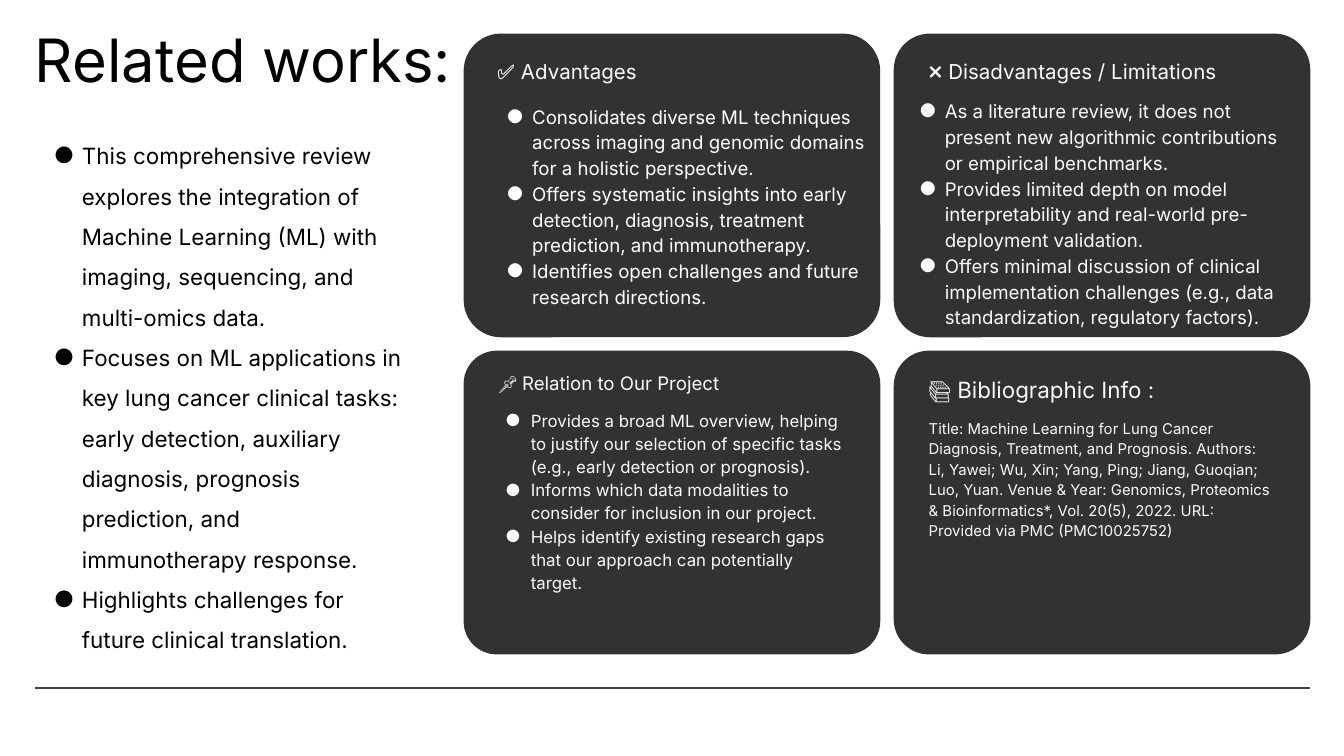
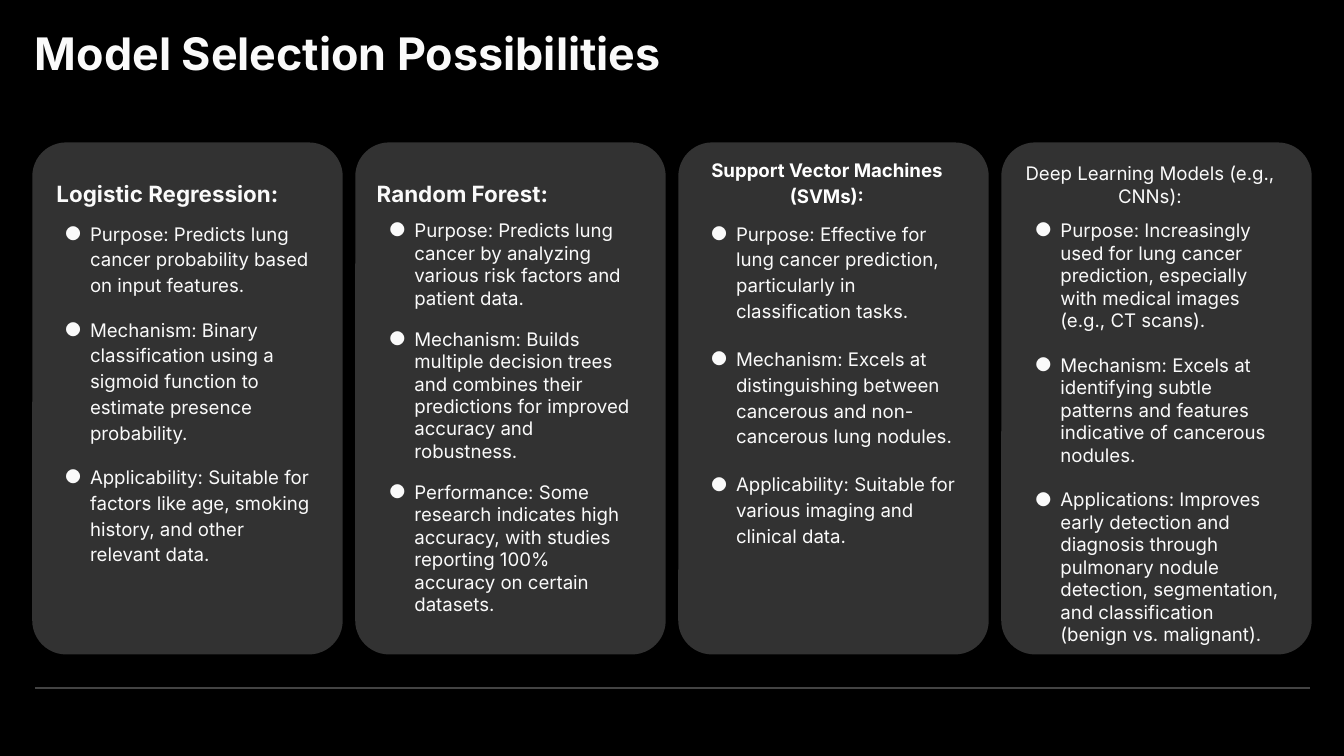
from lxml import etree
from pptx import Presentation
from pptx.dml.color import RGBColor
from pptx.enum.shapes import MSO_CONNECTOR, MSO_SHAPE
from pptx.enum.text import MSO_ANCHOR as ANCHOR, MSO_AUTO_SIZE, PP_ALIGN as ALIGN
from pptx.oxml.ns import qn
from pptx.util import Inches, Pt

# Shared style
FONT = "Inter"
BLACK, WHITE, PALE = "000000", "FFFFFF", "FAFAFA"
CARD, RULE = "323232", "434343"
MARGIN, RIGHT, TOP = 0.26, 9.75, 0.25
CARD_INSETS = (0, 0, 0.1, 0.1)


def rgb(value):
    return RGBColor.from_string(value)


def apply(obj, values):
    for name, value in values.items():
        setattr(obj, name, value)


def place(shape, box):
    apply(shape, dict(zip(("left", "top", "width", "height"), map(Inches, box))))


def add_bullet(p, color, left, hanging):
    pPr = p._p.get_or_add_pPr()
    pPr.set("marL", str(Inches(left)))
    pPr.set("indent", str(-Inches(hanging)))
    clr = etree.SubElement(pPr, qn("a:buClr"))
    etree.SubElement(clr, qn("a:srgbClr")).set("val", color)
    etree.SubElement(pPr, qn("a:buFont")).set("typeface", FONT)
    etree.SubElement(pPr, qn("a:buChar")).set("char", "●")


def write(shape, lines, size, color=PALE, bold=False, align=ALIGN.LEFT,
          anchor=ANCHOR.TOP, insets=CARD_INSETS, spacing=1.0, gap=0,
          indent=None, hanging=0.19):
    """Fill a shape with paragraphs; an indent turns them into a list."""
    tf = shape.text_frame
    sides = ("margin_left", "margin_top", "margin_right", "margin_bottom")
    apply(tf, dict(zip(sides, map(Inches, insets))))
    apply(tf, {"word_wrap": True, "auto_size": MSO_AUTO_SIZE.NONE,
               "vertical_anchor": anchor})
    for i, line in enumerate(lines):
        p = tf.paragraphs[0] if i == 0 else tf.add_paragraph()
        apply(p, {"alignment": align, "line_spacing": spacing,
                  "space_before": Pt(gap if i else 0), "space_after": Pt(0)})
        if indent is not None:
            add_bullet(p, color, indent, hanging)
        r = p.add_run()
        r.text = line
        apply(r.font, {"name": FONT, "size": Pt(size), "bold": bold})
        r.font.color.rgb = rgb(color)


def add_text(s, box, lines, **style):
    tb = s.shapes.add_textbox(*map(Inches, box))
    write(tb, lines, **style)


def add_base(prs, layout, background, title, box, **style):
    """Slide with background, title and footer rule."""
    s = prs.slides.add_slide(prs.slide_layouts[layout])
    s.background.fill.solid()
    s.background.fill.fore_color.rgb = rgb(background)
    place(s.shapes.title, box)
    write(s.shapes.title, [title], insets=(0, 0, 0, 0), spacing=0.85, **style)
    rule = s.shapes.add_connector(
        MSO_CONNECTOR.STRAIGHT, *map(Inches, (MARGIN, 5.12, RIGHT, 5.12)))
    rule.line.color.rgb = rgb(RULE)
    rule.line.width = Pt(0.75)
    etree.SubElement(rule._element.spPr, qn("a:effectLst"))
    return s


def add_card(s, box, radius, heading, heading_box, heading_style,
             lines, body_box, body_style):
    """Rounded card; heading and body boxes are relative to its corner."""
    card = s.shapes.add_shape(MSO_SHAPE.ROUNDED_RECTANGLE, *map(Inches, box))
    card.adjustments[0] = radius
    card.shadow.inherit = False
    card.fill.solid()
    card.fill.fore_color.rgb = rgb(CARD)
    card.line.fill.background()
    x, y = box[:2]
    for (dx, dy, w, h), text, style in (
            (heading_box, [heading], {"anchor": ANCHOR.BOTTOM, **heading_style}),
            (body_box, lines, body_style)):
        add_text(s, (x + dx, y + dy, w, h), text, **style)


# Slide 1: review summary and a 2 x 2 grid of cards
SUMMARY = [
    "This comprehensive review explores the integration of Machine Learning (ML) "
    "with imaging, sequencing, and multi-omics data.",
    "Focuses on ML applications in key lung cancer clinical tasks: early detection, "
    "auxiliary diagnosis, prognosis prediction, and immunotherapy response.",
    "Highlights challenges for future clinical translation.",
]
REVIEW_CARDS = [
    dict(radius=0.123, heading="✅ Advantages",
         heading_box=(0.25, 0.15, 1.6, 0.32), heading_style={"size": 11},
         body_box=(0.01, 0.51, 3.09, 1.66),
         body_style={"size": 10, "color": WHITE, "spacing": 1.15, "indent": 0.5},
         lines=[
             "Consolidates diverse ML techniques across imaging and genomic domains "
             "for a holistic perspective.",
             "Offers systematic insights into early detection, diagnosis, treatment "
             "prediction, and immunotherapy.",
             "Identifies open challenges and future research directions."]),
    dict(radius=0.119, heading="❌ Disadvantages / Limitations",
         heading_box=(0.26, 0.15, 2.6, 0.32), heading_style={"size": 11},
         body_box=(0, 0.47, 3.09, 1.62),
         body_style={"size": 10, "spacing": 1.15, "indent": 0.38},
         lines=[
             "As a literature review, it does not present new algorithmic "
             "contributions or empirical benchmarks.",
             "Provides limited depth on model interpretability and real-world "
             "pre-deployment validation.",
             "Offers minimal discussion of clinical implementation challenges "
             "(e.g., data standardization, regulatory factors)."]),
    dict(radius=0.109, heading="📌 Relation to Our Project",
         heading_box=(0.26, 0.1, 2.67, 0.32), heading_style={"size": 10},
         body_box=(0.25, 0.42, 2.67, 1.41),
         body_style={"size": 9, "spacing": 1.15, "indent": 0.25},
         lines=[
             "Provides a broad ML overview, helping to justify our selection of "
             "specific tasks (e.g., early detection or prognosis).",
             "Informs which data modalities to consider for inclusion in our project.",
             "Helps identify existing research gaps that our approach can "
             "potentially target."]),
    dict(radius=0.116, heading="📚 Bibliographic Info :",
         heading_box=(0.26, 0.17, 2.6, 0.32), heading_style={"size": 12},
         body_box=(0.26, 0.49, 2.67, 1.33),
         body_style={"size": 8, "spacing": 1.15},
         lines=[
             "Title: Machine Learning for Lung Cancer Diagnosis, Treatment, and "
             "Prognosis. Authors: Li, Yawei; Wu, Xin; Yang, Ping; Jiang, Guoqian; "
             "Luo, Yuan. Venue & Year: Genomics, Proteomics & Bioinformatics*, "
             "Vol. 20(5), 2022. URL: Provided via PMC (PMC10025752)"]),
]


def related_works(prs):
    s = add_base(prs, 1, WHITE, "Related works:", (MARGIN, TOP, 3.15, 1.11),
                 size=32, color=BLACK)
    body = s.placeholders[1]
    place(body, (MARGIN, 0.86, 2.83, 4.04))
    write(body, SUMMARY, size=12, color=BLACK, insets=(0.1,) * 4,
          spacing=1.5, indent=0.25, hanging=0.21)
    w, h, gap = 3.1, 2.26, 0.1
    for i, card in enumerate(REVIEW_CARDS):
        row, col = divmod(i, 2)
        add_card(s, (3.45 + col * (w + gap), TOP + row * (h + gap), w, h), **card)


# Slide 2: one card per model
BIG = {"size": 12, "bold": True}
LOOSE, TIGHT = 1.15, 1.0
MODELS = [
    ("Logistic Regression:", BIG, 0.18, LOOSE, 10, [
        "Purpose: Predicts lung cancer probability based on input features.",
        "Mechanism: Binary classification using a sigmoid function to estimate "
        "presence probability.",
        "Applicability: Suitable for factors like age, smoking history, and other "
        "relevant data."]),
    ("Random Forest:", BIG, 0.19, TIGHT, 10, [
        "Purpose: Predicts lung cancer by analyzing various risk factors and "
        "patient data.",
        "Mechanism: Builds multiple decision trees and combines their predictions "
        "for improved accuracy and robustness.",
        "Performance: Some research indicates high accuracy, with studies reporting "
        "100% accuracy on certain datasets."]),
    ("Support Vector Machines (SVMs):",
     {"size": 10, "bold": True, "color": WHITE, "align": ALIGN.CENTER,
      "spacing": LOOSE}, 0.18, LOOSE, 12, [
         "Purpose: Effective for lung cancer prediction, particularly in "
         "classification tasks.",
         "Mechanism: Excels at distinguishing between cancerous and non-cancerous "
         "lung nodules.",
         "Applicability: Suitable for various imaging and clinical data."]),
    ("Deep Learning Models (e.g., CNNs):", {"size": 10, "align": ALIGN.CENTER},
     0.19, TIGHT, 12, [
         "Purpose: Increasingly used for lung cancer prediction, especially with "
         "medical images (e.g., CT scans).",
         "Mechanism: Excels at identifying subtle patterns and features indicative "
         "of cancerous nodules.",
         "Applications: Improves early detection and diagnosis through pulmonary "
         "nodule detection, segmentation, and classification (benign vs. "
         "malignant)."]),
]


def model_selection(prs):
    s = add_base(prs, 5, BLACK, "Model Selection Possibilities",
                 (MARGIN, TOP, 9.02, 0.72), size=24, bold=True)
    left, right, w = 0.24, 9.76, 2.31
    step = (right - left - w) / (len(MODELS) - 1)
    for i, (heading, style, dx, spacing, gap, lines) in enumerate(MODELS):
        add_card(s, (left + i * step, 1.06, w, 3.81), 0.109,
                 heading, (0.16 if i else 0.18, 0.18, 1.99, 0.4), style,
                 lines, (dx, 0.57, 1.99, 3.12),
                 {"size": 10, "spacing": spacing, "gap": gap, "indent": 0.25})


def main():
    prs = Presentation()
    # 16:9 page
    prs.slide_width = Inches(10)
    prs.slide_height = prs.slide_width * 9 // 16
    related_works(prs)
    model_selection(prs)
    prs.save("out.pptx")


if __name__ == "__main__":
    main()
